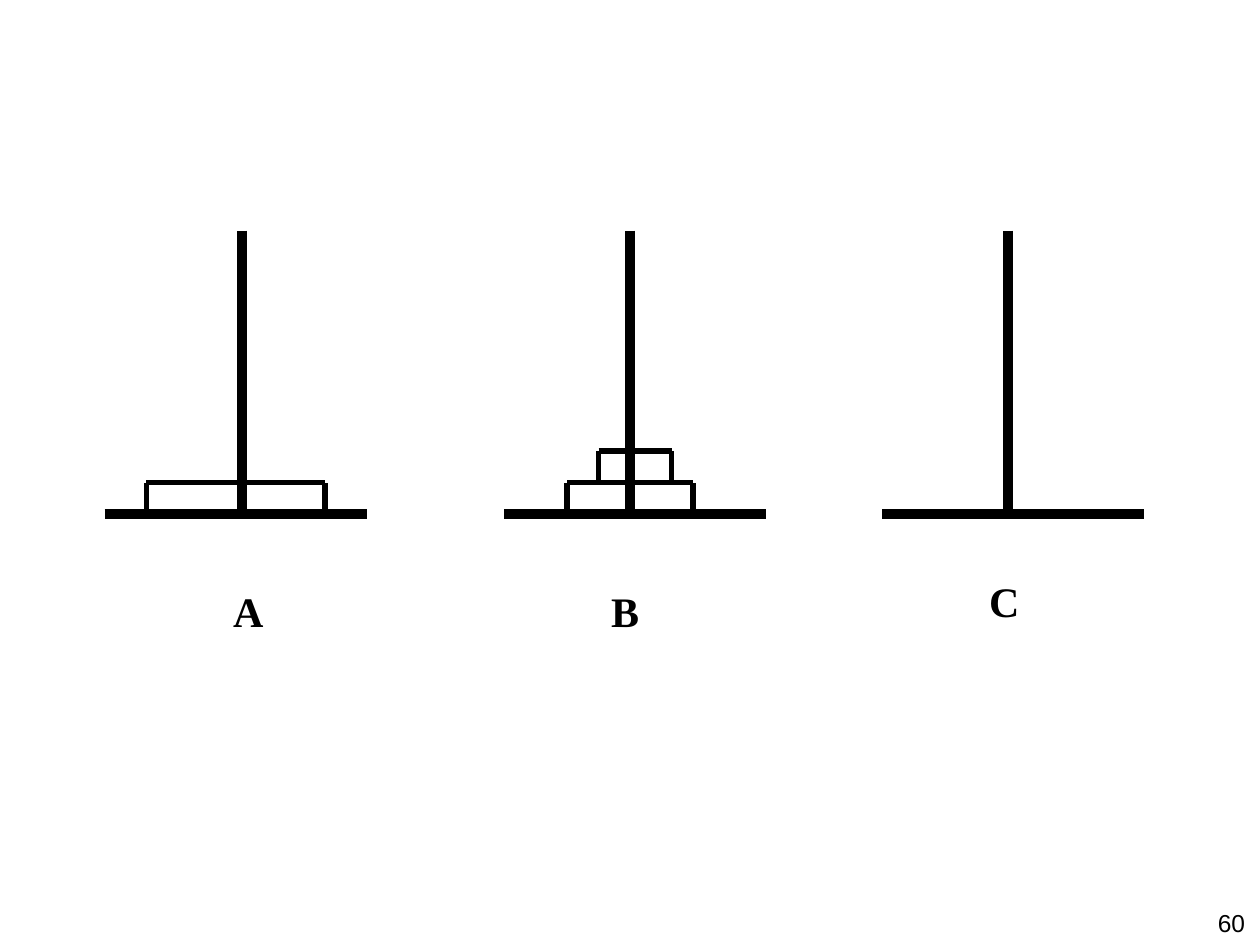
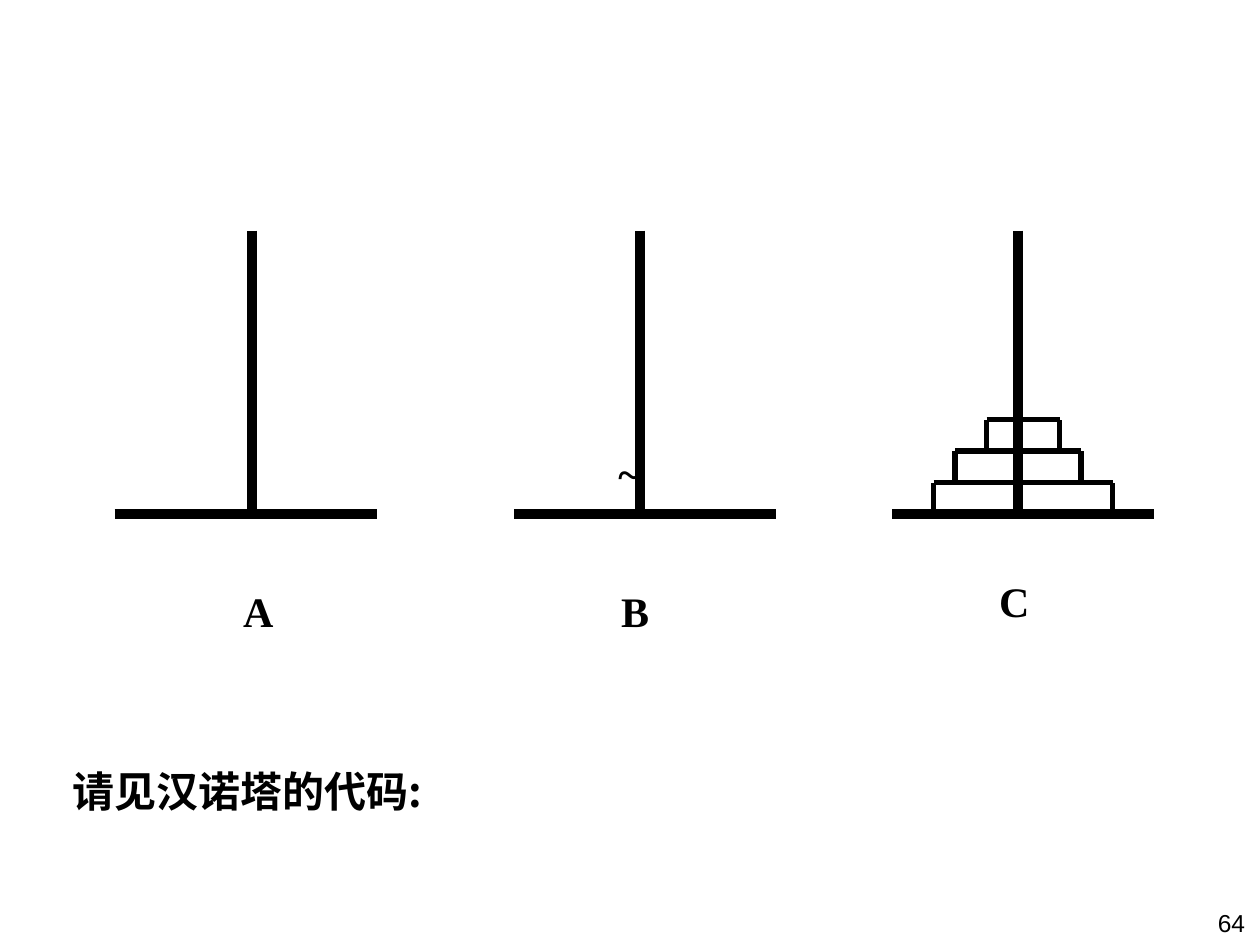
import pptx
import pptx.dml.color
import pptx.enum.shapes
import pptx.enum.text
import pptx.oxml.ns
import pptx.util
from lxml import etree
from pptx.util import Inches

BLACK, WHITE = "000000", "FFFFFF"
SERIF, SANS, CJK = "Times New Roman", "Arial", "Noto Sans CJK SC"

# Peg: centre of the base, pole x, label left, label top
PEGS = {
    "A": (1.83, 1.92, 1.5, 4.58),
    "B": (5, 5, 4.5, 4.58),
    "C": (8, 8, 7.5, 4.5),
}
# Disc: left edge from the centre of the base, width
DISCS = {"large": (-0.67, 1.42), "medium": (-0.5, 1), "small": (-0.25, 0.58)}

# Discs are listed from the bottom up; a note is text, font, left, top, width
SLIDES = [
    {"page": "60", "shift": 0,
     "stacks": {"A": ["large"], "B": ["medium", "small"]},
     "notes": []},
    {"page": "64", "shift": 0.08,
     "stacks": {"C": ["large", "medium", "small"]},
     "notes": [("请见汉诺塔的代码:", CJK, 0.48, 6.03, 3.14),
               ("~", SERIF, 4.81, 3.5, 0.37)]},
]

POLE_TOP, BASE_Y = 1.83, 4.08
BASE_LEFT, BASE_WIDTH = -1, 2.08
DISC_HEIGHT = 0.25
BASE_PT, DISC_PT = 6, 3


def rgb(color):
    return pptx.dml.color.RGBColor.from_string(color)


def add_line(s, x1, y1, x2, y2, weight):
    line = s.shapes.add_connector(
        pptx.enum.shapes.MSO_CONNECTOR.STRAIGHT,
        Inches(x1), Inches(y1), Inches(x2), Inches(y2))
    line.line.color.rgb = rgb(BLACK)
    line.line.width = pptx.util.Pt(weight)
    etree.SubElement(line._element.spPr, pptx.oxml.ns.qn("a:effectLst"))


def set_text(sp, text, font, size=24, bold=True, align="LEFT",
             left_inset=0.1, top_inset=0.05, wrap=True):
    tf = sp.text_frame
    tf.word_wrap = wrap
    tf.vertical_anchor = pptx.enum.text.MSO_ANCHOR.TOP
    tf.margin_left, tf.margin_top = Inches(left_inset), Inches(top_inset)
    tf.margin_right, tf.margin_bottom = Inches(0.1), Inches(0.05)
    p = tf.paragraphs[0]
    p.alignment = getattr(pptx.enum.text.PP_ALIGN, align)
    r = p.add_run()
    r.text = text
    r.font.name, r.font.size, r.font.bold = font, pptx.util.Pt(size), bold
    r.font.color.rgb = rgb(BLACK)
    if font == CJK:
        ea = etree.SubElement(r.font._element, pptx.oxml.ns.qn("a:ea"))
        ea.set("typeface", font)


def add_text(s, text, font, left, top, width, **style):
    sp = s.shapes.add_textbox(Inches(left), Inches(top), Inches(width), Inches(0.5))
    set_text(sp, text, font, **style)


def add_label(s, name, left, top):
    sp = s.shapes.add_shape(pptx.enum.shapes.MSO_SHAPE.RECTANGLE,
                            Inches(left), Inches(top), Inches(1), Inches(0.5))
    sp.shadow.inherit = False
    sp.fill.solid()
    sp.fill.fore_color.rgb = rgb(WHITE)
    sp.line.color.rgb = rgb(WHITE)
    sp.line.width = pptx.util.Pt(0.75)
    set_text(sp, name, SERIF, left_inset=0.35, top_inset=0.07)


def add_disc(s, left, width, bottom):
    """Draw the two sides and the top; what lies below closes the disc."""
    right, top = left + width, bottom - DISC_HEIGHT
    add_line(s, left, bottom, left, top, DISC_PT)
    add_line(s, right, bottom, right, top, DISC_PT)
    add_line(s, left, top, right, top, DISC_PT)


def add_peg(s, name, shift, stack):
    center, pole, label_left, label_top = PEGS[name]
    center += shift
    base_left = center + BASE_LEFT
    add_line(s, base_left, BASE_Y, base_left + BASE_WIDTH, BASE_Y, BASE_PT)
    add_line(s, pole + shift, POLE_TOP, pole + shift, BASE_Y, BASE_PT)
    for level, size in enumerate(stack):
        offset, width = DISCS[size]
        add_disc(s, center + offset, width, BASE_Y - level * DISC_HEIGHT)
    add_label(s, name, label_left + shift, label_top)


def main():
    prs = pptx.Presentation()
    prs.slide_width, prs.slide_height = Inches(10), Inches(7.5)
    for content in SLIDES:
        s = prs.slides.add_slide(prs.slide_layouts[6])
        add_text(s, content["page"], SANS, 7.9, 7.14, 2.08,
                 size=14, bold=False, align="RIGHT", top_inset=0.07)
        for name in PEGS:
            add_peg(s, name, content["shift"], content["stacks"].get(name, []))
        for note in content["notes"]:
            add_text(s, *note, wrap=False)
    prs.save("out.pptx")


if __name__ == "__main__":
    main()
